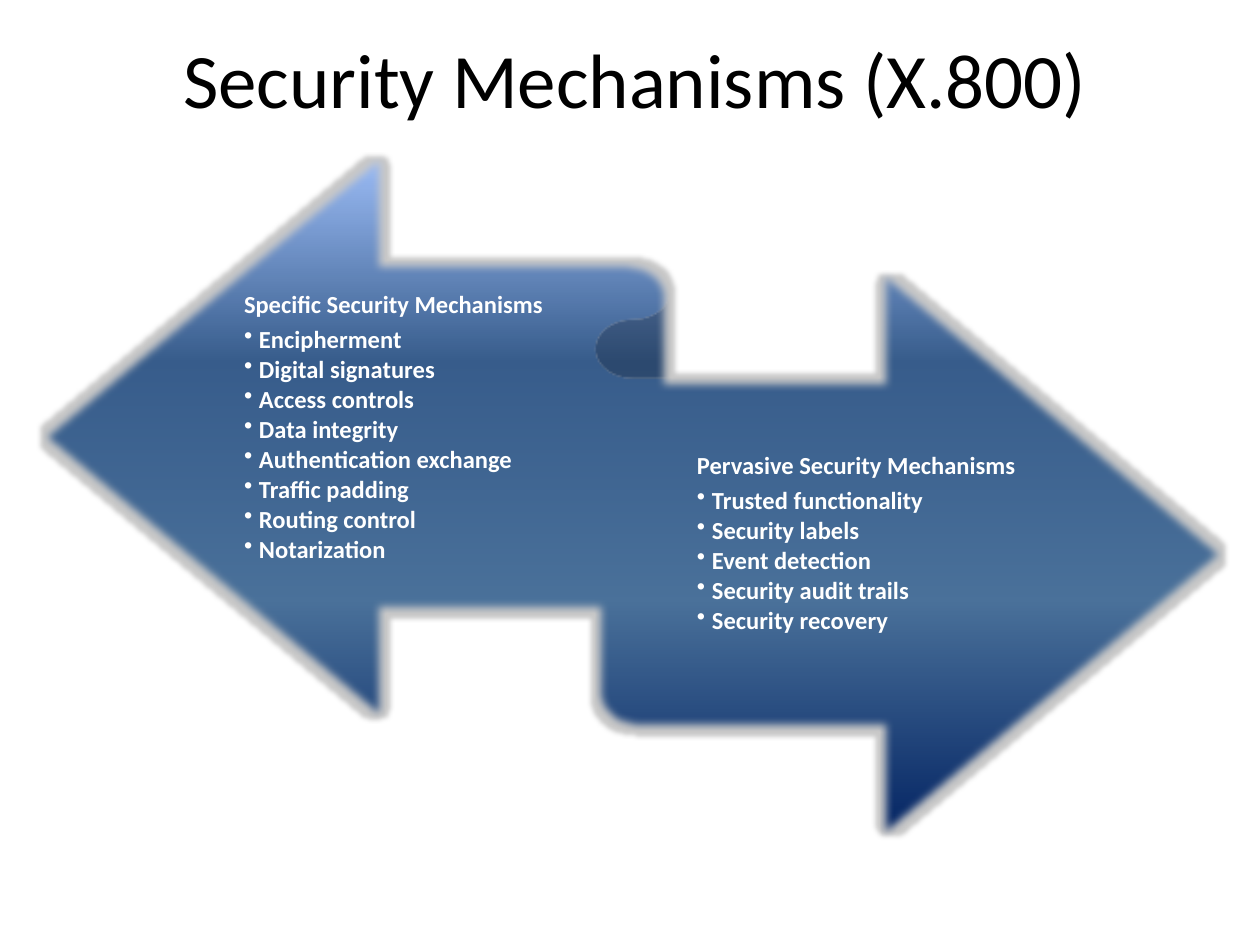
from lxml import etree
from pptx import Presentation
from pptx.dml.color import RGBColor as RGB
from pptx.enum.shapes import MSO_SHAPE as SHAPE
from pptx.enum.text import MSO_ANCHOR as ANCHOR, PP_ALIGN as ALIGN
from pptx.oxml import parse_xml
from pptx.oxml.ns import nsdecls, qn
from pptx.util import Emu, Pt

EMU_PER_PX = 914400 / 126
COLORS = {
    "title": "000000", "text": "FFFFFF", "glow": "C8C8C8",
    "base": "002060", "light": "4A719A", "middle": "416793",
    "deep": "375C8B", "top": "A4C4FF",
}
RIBBON_STOPS = [(0, "base"), (35, "light"), (50, "middle"), (69, "deep"), (100, "top")]
SPECIFIC = [
    "Encipherment", "Digital signatures", "Access controls", "Data integrity",
    "Authentication exchange", "Traffic padding", "Routing control", "Notarization",
]
PERVASIVE = [
    "Trusted functionality", "Security labels", "Event detection",
    "Security audit trails", "Security recovery",
]


def px(n):
    return Emu(round(n * EMU_PER_PX))


class Deck:
    font = "Calibri"

    def __init__(self, width, height):
        self.prs = Presentation()
        self.prs.slide_width, self.prs.slide_height = px(width), px(height)
        self.s = self.prs.slides.add_slide(self.prs.slide_layouts[5])

    def style(self, p, size, color, bold=False):
        p.font.name, p.font.size, p.font.bold = self.font, Pt(size), bold
        p.font.color.rgb = RGB.from_string(COLORS[color])

    def title(self, text, x, y, w, h):
        sp = self.s.shapes.title
        sp.left, sp.top, sp.width, sp.height = map(px, (x, y, w, h))
        tf = sp.text_frame
        tf.text, tf.vertical_anchor = text, ANCHOR.MIDDLE
        p = tf.paragraphs[0]
        p.alignment = ALIGN.CENTER
        self.style(p, 44, "title")

    def ribbon(self, x, y, w, h, stops):
        sp = self.s.shapes.add_shape(SHAPE.LEFT_RIGHT_RIBBON, *map(px, (x, y, w, h)))
        sp.shadow.inherit = False
        sp.line.fill.background()
        sp.fill.gradient()
        sp.fill.gradient_angle = 90
        props = sp._element.spPr
        stop_list = props.find(qn("a:gradFill")).find(qn("a:gsLst"))
        for old in list(stop_list):
            stop_list.remove(old)
        for pos, color in stops:
            gs = etree.SubElement(stop_list, qn("a:gs"), pos=str(pos * 1000))
            etree.SubElement(gs, qn("a:srgbClr"), val=COLORS[color])
        effects = props.find(qn("a:effectLst"))
        glow = etree.SubElement(effects, qn("a:glow"), rad="63500")
        etree.SubElement(glow, qn("a:srgbClr"), val=COLORS["glow"])
        etree.SubElement(effects, qn("a:softEdge"), rad="63500")

    def bullet(self, p, indent):
        pr = p._p.get_or_add_pPr()
        pr.set("marL", str(px(indent)))
        pr.set("indent", str(-px(indent)))
        pr.append(parse_xml(f'<a:buChar {nsdecls("a")} char="•"/>'))

    def bullet_list(self, heading, items, x, y, w, h):
        tf = self.s.shapes.add_textbox(*map(px, (x, y, w, h))).text_frame
        tf.word_wrap, tf.vertical_anchor = True, ANCHOR.MIDDLE
        tf.margin_left = tf.margin_right = 0
        tf.margin_top, tf.margin_bottom = px(6), px(8)
        for i, text in enumerate([heading, *items]):
            p = tf.add_paragraph() if i else tf.paragraphs[0]
            p.text, p.line_spacing = text, 0.9
            p.space_after = Pt(2 if i else 5)
            if i:
                p.level = 1
                self.bullet(p, 15)
            self.style(p, 14, "text", bold=True)


def main():
    deck = Deck(1260, 945)
    deck.title("Security Mechanisms (X.800)", 32, 0, 1207, 155)
    deck.ribbon(35, 145, 1197, 703, RIBBON_STOPS)
    deck.bullet_list("Specific Security Mechanisms", SPECIFIC, 244, 312, 394, 234)
    deck.bullet_list("Pervasive Security Mechanisms", PERVASIVE, 697, 428, 467, 234)
    deck.prs.save("out.pptx")


if __name__ == "__main__":
    main()
